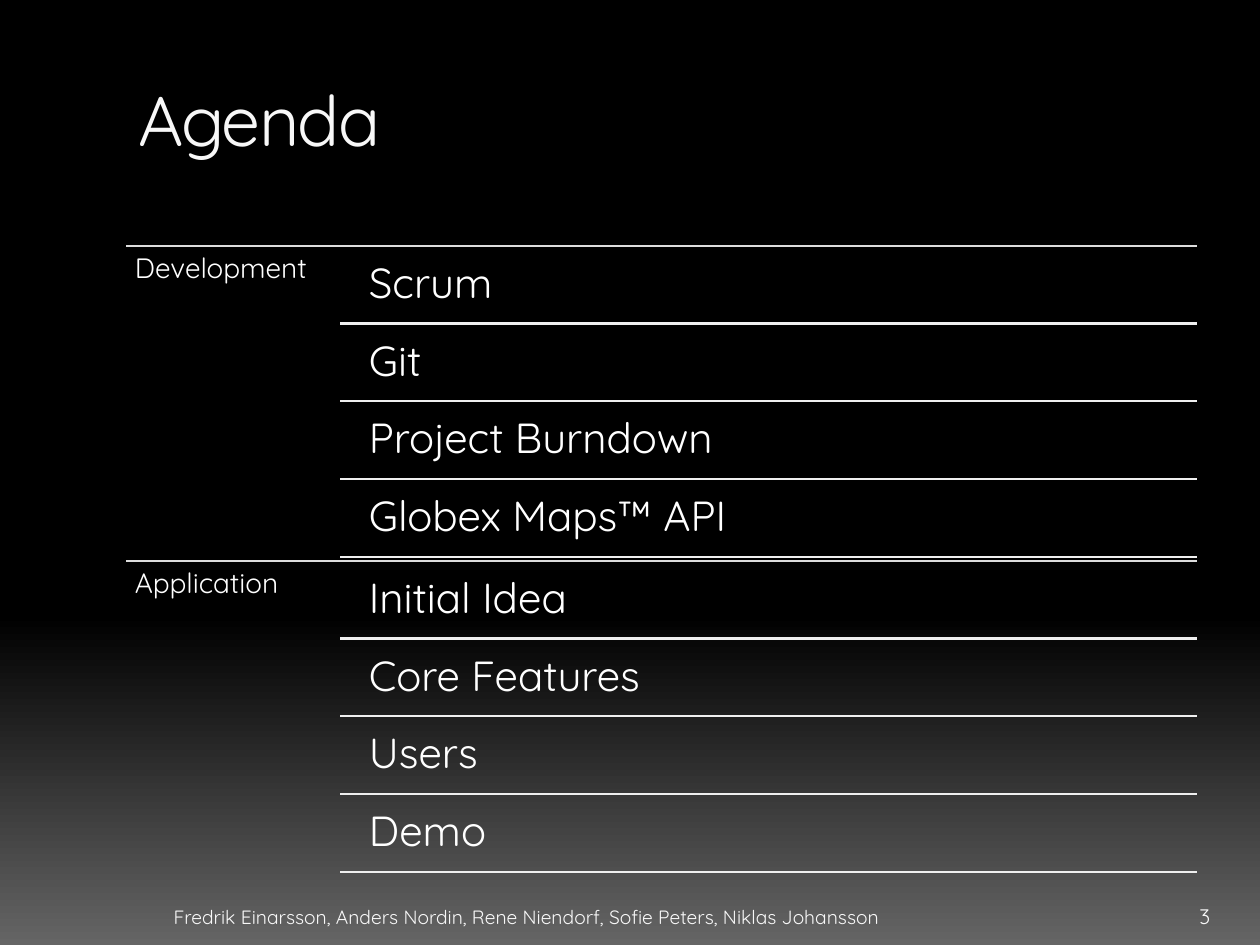
from lxml import etree
from pptx import Presentation
from pptx.dml.color import RGBColor
from pptx.enum.shapes import MSO_CONNECTOR
from pptx.enum.text import MSO_ANCHOR, PP_ALIGN
from pptx.oxml.ns import qn
from pptx.util import Inches, Pt

STRAIGHT = MSO_CONNECTOR.STRAIGHT
TOP, BOTTOM = MSO_ANCHOR.TOP, MSO_ANCHOR.BOTTOM
LEFT, RIGHT = PP_ALIGN.LEFT, PP_ALIGN.RIGHT

FONT = "Quicksand"
WIDTH, HEIGHT = 10, 7.5
LABEL_SHARE = 0.2
ITEM_INDENT = 0.13
ROW_GAP = 0.03
OFF_WHITE, WHITE = "F8F8F8", "FFFFFF"
SECTION_LINE, ITEM_LINE = "DDDDDD", "EFEFEF"

SECTIONS = [
    ("Development", ["Scrum", "Git", "Project Burndown", "Globex Maps™ API"]),
    ("Application", ["Initial Idea", "Core Features", "Users", "Demo"]),
]
AUTHORS = "Fredrik Einarsson, Anders Nordin, Rene Niendorf, Sofie Peters, Niklas Johansson"


def color(hex_string):
    return RGBColor.from_string(hex_string)


def add_text(slide, box, text, size, hex_color, margins=(0.1, 0.05),
             align=LEFT, anchor=TOP, line_spacing=None):
    """Place one line of text; margins are (horizontal, vertical) inches."""
    shape = slide.shapes.add_textbox(*(Inches(value) for value in box))
    frame = shape.text_frame
    frame.word_wrap = True
    frame.vertical_anchor = anchor
    frame.margin_left = frame.margin_right = Inches(margins[0])
    frame.margin_top = frame.margin_bottom = Inches(margins[1])
    frame.text = text
    paragraph = frame.paragraphs[0]
    paragraph.alignment = align
    paragraph.line_spacing = line_spacing
    run = paragraph.runs[0]
    run.font.name = FONT
    run.font.size = Pt(size)
    run.font.color.rgb = color(hex_color)
    return run


def add_rule(slide, left, right, y, hex_color):
    """Draw a horizontal line."""
    line = slide.shapes.add_connector(
        STRAIGHT, Inches(left), Inches(y), Inches(right), Inches(y))
    line.line.color.rgb = color(hex_color)
    line.line.width = Pt(1.25)
    etree.SubElement(line._element.spPr, qn("a:effectLst"))


def paint_background(slide):
    fill = slide.background.fill
    fill.gradient()
    fill.gradient_angle = 270
    stops = [(0.65, "000000"), (1, "656565")]
    for stop, (position, hex_color) in zip(fill.gradient_stops, stops):
        stop.position = position
        stop.color.rgb = color(hex_color)


def add_title(slide, box, text):
    run = add_text(slide, box, text, 40, OFF_WHITE)
    run.font._element.set("spc", "-100")


def add_section(slide, box, label, items):
    """Place a label column beside ruled item rows."""
    left, top, width, height = box
    right = left + width
    label_width = width * LABEL_SHARE
    items_left = left + label_width
    text_left = items_left + ITEM_INDENT
    pitch = (height - ROW_GAP) / len(items)

    add_rule(slide, left, right, top, SECTION_LINE)
    add_text(slide, (left, top, label_width, height), label, 16, WHITE,
             margins=(0.07, 0.07), line_spacing=0.9)
    for row, item in enumerate(items):
        row_top = top + row * pitch
        item_box = (text_left, row_top + ROW_GAP, right - text_left, pitch - ROW_GAP)
        add_text(slide, item_box, item, 24, WHITE,
                 margins=(0.1, 0.1), line_spacing=0.9)
        add_rule(slide, items_left, right, row_top + pitch, ITEM_LINE)


def add_agenda(slide, box, sections):
    left, top, width, height = box
    section_height = height / len(sections)
    for index, (label, items) in enumerate(sections):
        section_top = top + index * section_height
        add_section(slide, (left, section_top, width, section_height), label, items)


def add_footer(slide, box, authors, number):
    left, top, width, height = box
    number_width = 0.5
    add_text(slide, (left, top, 6.08, height), authors, 11, OFF_WHITE,
             align=RIGHT, anchor=BOTTOM)
    number_left = left + width - number_width
    add_text(slide, (number_left, top, number_width, height), number, 12,
             OFF_WHITE, anchor=BOTTOM)


def main():
    presentation = Presentation()
    presentation.slide_width = Inches(WIDTH)
    presentation.slide_height = Inches(HEIGHT)
    slide = presentation.slides.add_slide(presentation.slide_layouts[6])

    left, width = 0.1 * WIDTH, 0.85 * WIDTH
    paint_background(slide)
    add_title(slide, (left, 0.56, width, 1), "Agenda")
    add_agenda(slide, (left, 0.26 * HEIGHT, width, HEIGHT * 2 / 3), SECTIONS)
    add_footer(slide, (left, 7.02, 8.92, 0.4), AUTHORS, "3")
    presentation.save("out.pptx")


if __name__ == "__main__":
    main()
